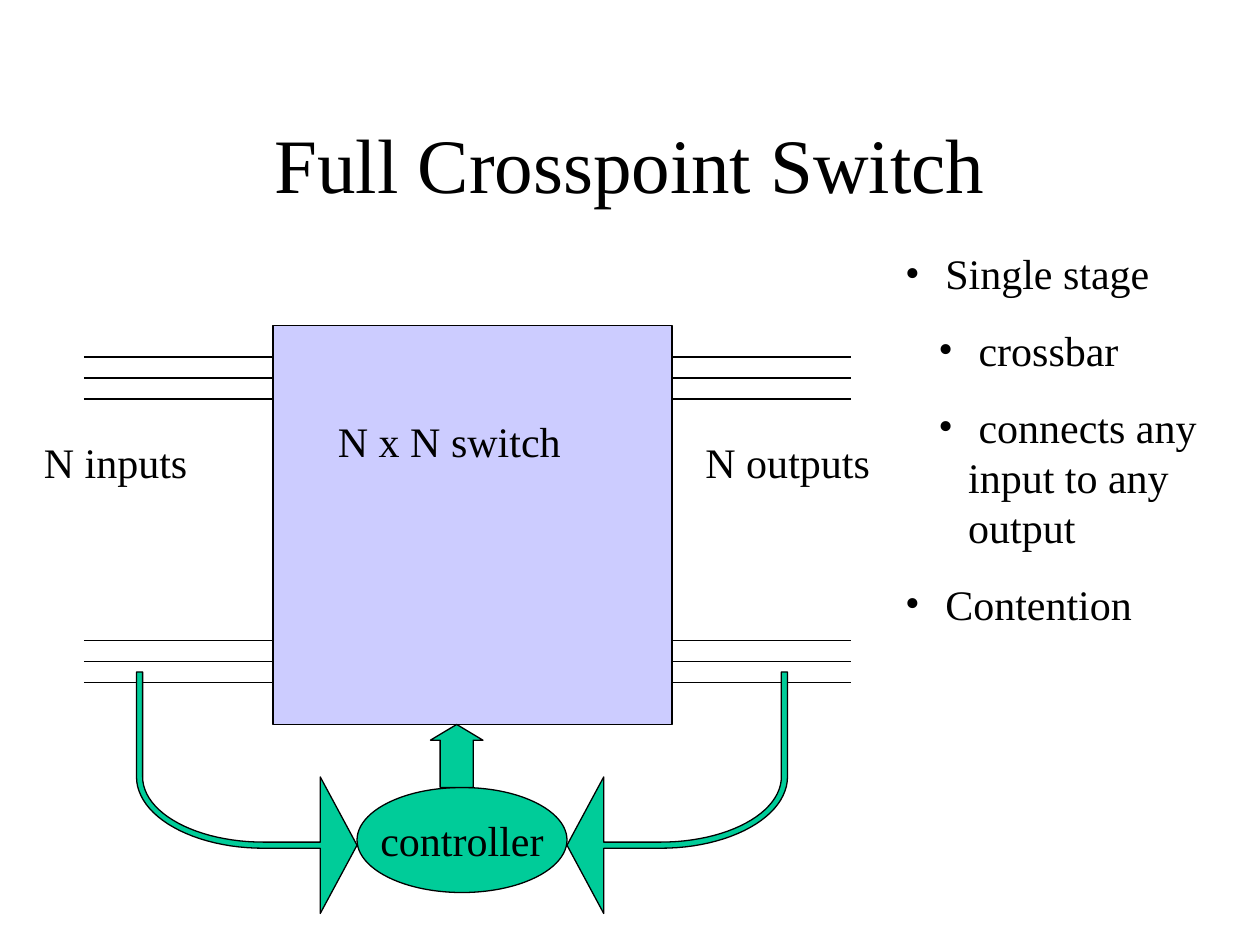
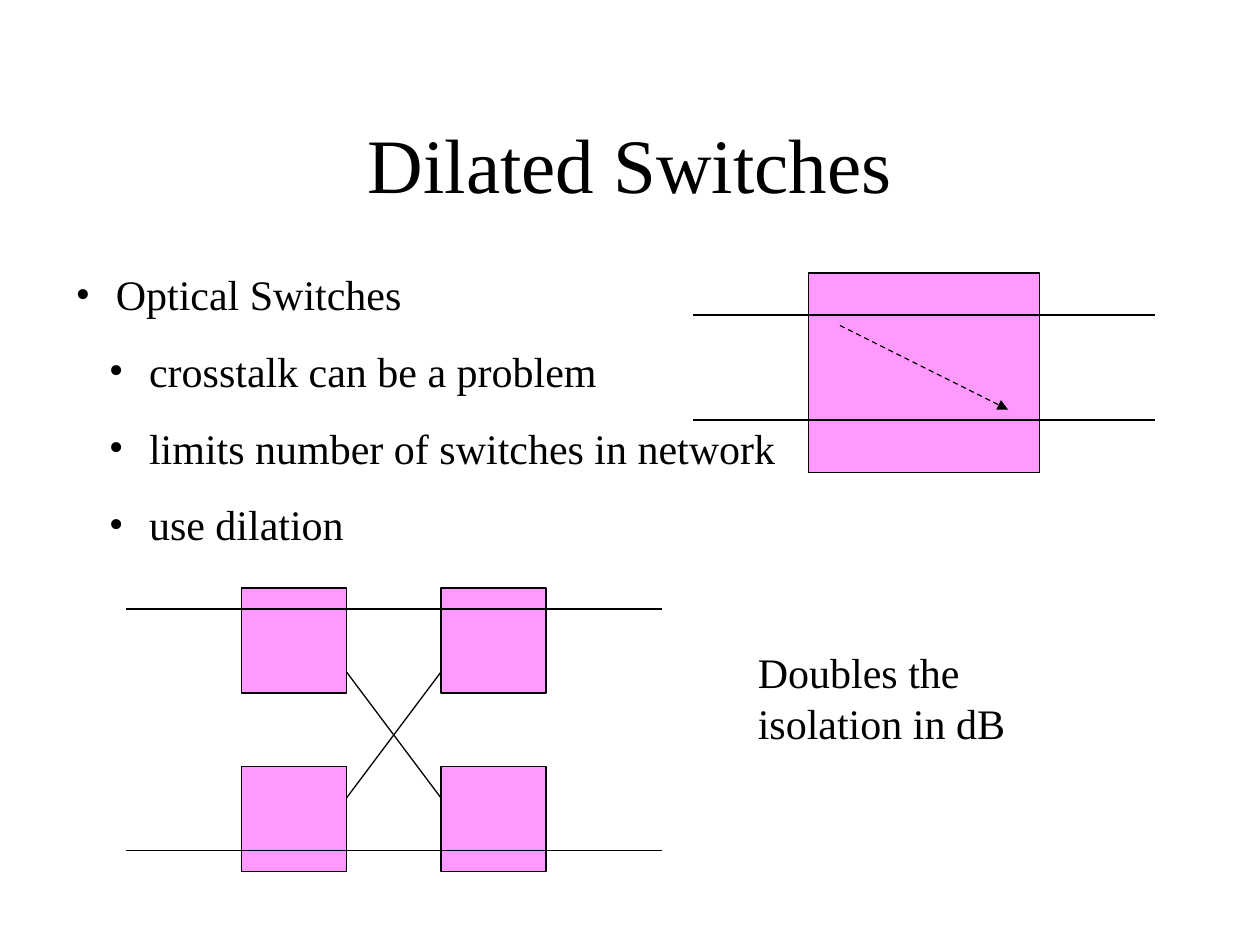
from math import cos, pi, sin

from lxml.etree import SubElement
from pptx import Presentation
from pptx.dml.color import RGBColor
from pptx.enum.dml import MSO_LINE
from pptx.enum.shapes import MSO_CONNECTOR, MSO_SHAPE
from pptx.enum.text import MSO_ANCHOR, MSO_AUTO_SIZE, PP_ALIGN
from pptx.oxml.ns import qn
from pptx.util import Pt

# Shared style
FONT = "Times New Roman"
BLACK, LAVENDER, GREEN, PINK = "000000", "CCCCFF", "00CC99", "FF99FF"
TITLE_SIZE, TEXT_SIZE = 44, 24
LINE_WIDTH = 0.75
PARAGRAPH_GAP = 15
BULLET_HANG, LEVEL_INDENTS = 17, (17, 36)
TITLE_BOX = (54, 48, 612, 90)


def color(hex_string):
    return RGBColor.from_string(hex_string)


def place(shape, box):
    shape.left, shape.top, shape.width, shape.height = map(Pt, box)


# Text
def add_run(paragraph, text, size=TEXT_SIZE):
    run = paragraph.add_run()
    run.text = text
    run.font.name = FONT
    run.font.size = Pt(size)
    run.font.color.rgb = color(BLACK)


def add_label(slide, text, box):
    label = slide.shapes.add_textbox(*map(Pt, box))
    label.text_frame.word_wrap = True
    add_run(label.text_frame.paragraphs[0], text)


def set_title(slide, text):
    title = slide.shapes.title
    place(title, TITLE_BOX)
    frame = title.text_frame
    frame.auto_size = MSO_AUTO_SIZE.NONE
    frame.vertical_anchor = MSO_ANCHOR.MIDDLE
    frame.paragraphs[0].alignment = PP_ALIGN.CENTER
    add_run(frame.paragraphs[0], text, TITLE_SIZE)


def set_bullets(slide, items, box):
    body = slide.placeholders[1]
    place(body, box)
    frame = body.text_frame
    frame.auto_size = MSO_AUTO_SIZE.NONE
    for index, (level, text) in enumerate(items):
        paragraph = frame.add_paragraph() if index else frame.paragraphs[0]
        paragraph.level = level
        paragraph.space_before = Pt(PARAGRAPH_GAP)
        add_run(paragraph, text)
        properties = paragraph._p.get_or_add_pPr()
        properties.set("marL", str(Pt(LEVEL_INDENTS[level])))
        properties.set("indent", str(Pt(-BULLET_HANG)))
        SubElement(properties, qn("a:buFont")).set("typeface", FONT)
        SubElement(properties, qn("a:buChar")).set("char", "•")


# Shapes and lines
def paint(shape, fill):
    shape.shadow.inherit = False
    shape.fill.solid()
    shape.fill.fore_color.rgb = color(fill)
    shape.line.color.rgb = color(BLACK)
    shape.line.width = Pt(LINE_WIDTH)


def add_block(slide, kind, box, fill):
    block = slide.shapes.add_shape(kind, *map(Pt, box))
    paint(block, fill)
    return block


def add_line(slide, x1, y1, x2, y2):
    line = slide.shapes.add_connector(
        MSO_CONNECTOR.STRAIGHT, Pt(x1), Pt(y1), Pt(x2), Pt(y2))
    line.line.color.rgb = color(BLACK)
    line.line.width = Pt(LINE_WIDTH)
    SubElement(line._element.spPr, qn("a:effectLst"))
    return line


def add_dashed_arrow(slide, x1, y1, x2, y2):
    arrow = add_line(slide, x1, y1, x2, y2)
    arrow.line.dash_style = MSO_LINE.DASH
    SubElement(arrow.line._get_or_add_ln(), qn("a:tailEnd")).set("type", "triangle")


def quarter_arc(center_x, center_y, radius_x, radius_y, steps=24):
    """Points from the left end of an ellipse down to its lowest point."""
    angles = [step * pi / 2 / steps for step in range(steps + 1)]
    return [(center_x - radius_x * cos(angle), center_y + radius_y * sin(angle))
            for angle in angles]


def add_bent_arrow(slide, box, mirrored=False):
    """Stem runs down from the top, bends, and ends in a broad sideways head."""
    left, top, width, height = box
    stem, head_x, bend_x, bend_y, axis_y = 3.5, 105, 72.5, 60, 99
    lower, upper = axis_y + stem / 2, axis_y - stem / 2
    outer = quarter_arc(bend_x, bend_y, bend_x, lower - bend_y)
    inner = quarter_arc(bend_x, bend_y, bend_x - stem, upper - bend_y)
    head = [(head_x, lower), (head_x, height), (width, axis_y),
            (head_x, 2 * axis_y - height), (head_x, upper)]
    outline = [(0, 0), *outer, *head, *reversed(inner), (stem, 0)]
    points = [(Pt(left + (width - x if mirrored else x)), Pt(top + y))
              for x, y in outline]
    builder = slide.shapes.build_freeform(*points[0])
    builder.add_line_segments(points[1:], close=True)
    paint(builder.convert_to_shape(), GREEN)


# Diagrams
def draw_crosspoint_switch(slide, box):
    left, top, width, height = box
    line_pitch = 12
    for group_top in (18, 180):
        for index in range(3):
            y = top + group_top + index * line_pitch
            add_line(slide, left, y, left + width, y)
    add_block(slide, MSO_SHAPE.RECTANGLE, (left + 108, top, 228, height), LAVENDER)
    add_label(slide, "N x N switch", (left + 138, top + 48, 180, 36))
    add_label(slide, "N inputs", (left - 30, top + 60, 114, 36))
    add_label(slide, "N outputs", (left + 348, top + 60, 126, 36))


def draw_controller(slide, box):
    left, top, width, height = box
    arm_width, arm_height = 126, 138
    oval_left, oval_width = left + arm_width, width - 2 * arm_width
    oval = add_block(slide, MSO_SHAPE.OVAL, (oval_left, top + 66, oval_width, 60), GREEN)
    oval.text_frame.word_wrap = False
    oval.text_frame.vertical_anchor = MSO_ANCHOR.MIDDLE
    oval.text_frame.paragraphs[0].alignment = PP_ALIGN.CENTER
    add_run(oval.text_frame.paragraphs[0], "controller")
    arrow = add_block(slide, MSO_SHAPE.UP_ARROW, (oval_left + 42, top + 30, 30, 36), GREEN)
    arrow.adjustments[0], arrow.adjustments[1] = 0.63, 0.3
    add_bent_arrow(slide, (left, top, arm_width, arm_height))
    add_bent_arrow(slide, (oval_left + oval_width, top, arm_width, arm_height), mirrored=True)


def draw_single_switch(slide, box):
    left, top, width, height = box
    add_block(slide, MSO_SHAPE.RECTANGLE, (left + 66, top, width / 2, height), PINK)
    for y in (top + 24, top + 84):
        add_line(slide, left, y, left + width, y)
    add_dashed_arrow(slide, left + 84, top + 30, left + 180, top + 78)


def draw_dilated_switch(slide, box):
    left, top, width, height = box
    side = 60
    columns = (left + 66, left + 180)
    for x in columns:
        for y in (top, top + height - side):
            add_block(slide, MSO_SHAPE.RECTANGLE, (x, y, side, side), PINK)
    for y in (top + 12, top + height - 12):
        add_line(slide, left, y, left + width, y)
    high, low = top + 48, top + 120
    for start, end in ((low, high), (high, low)):
        add_line(slide, columns[0] + side, start, columns[1], end)


# Slides
def add_slide(presentation, title, bullets, bullet_box):
    slide = presentation.slides.add_slide(presentation.slide_layouts[1])
    set_title(slide, title)
    set_bullets(slide, bullets, bullet_box)
    return slide


def build_crosspoint_slide(presentation):
    bullets = [(0, " Single stage"), (1, " crossbar"),
               (1, " connects any input to any output"), (0, " Contention")]
    slide = add_slide(presentation, "Full Crosspoint Switch", bullets, (510, 138, 192, 225))
    draw_crosspoint_switch(slide, (48, 186, 438, 228))
    draw_controller(slide, (78, 384, 372, 138))


def build_dilated_slide(presentation):
    bullets = [(0, " Optical Switches"), (1, " crosstalk can be a problem"),
               (1, " limits number of switches in network"), (1, " use dilation")]
    slide = add_slide(presentation, "Dilated Switches", bullets, (36, 150, 654, 168))
    draw_single_switch(slide, (396, 156, 264, 114))
    draw_dilated_switch(slide, (72, 336, 306, 162))
    add_label(slide, "Doubles the isolation in dB", (426, 366, 210, 65))


def main():
    presentation = Presentation()
    presentation.slide_width, presentation.slide_height = Pt(720), Pt(540)
    build_crosspoint_slide(presentation)
    build_dilated_slide(presentation)
    presentation.save("out.pptx")


if __name__ == "__main__":
    main()
